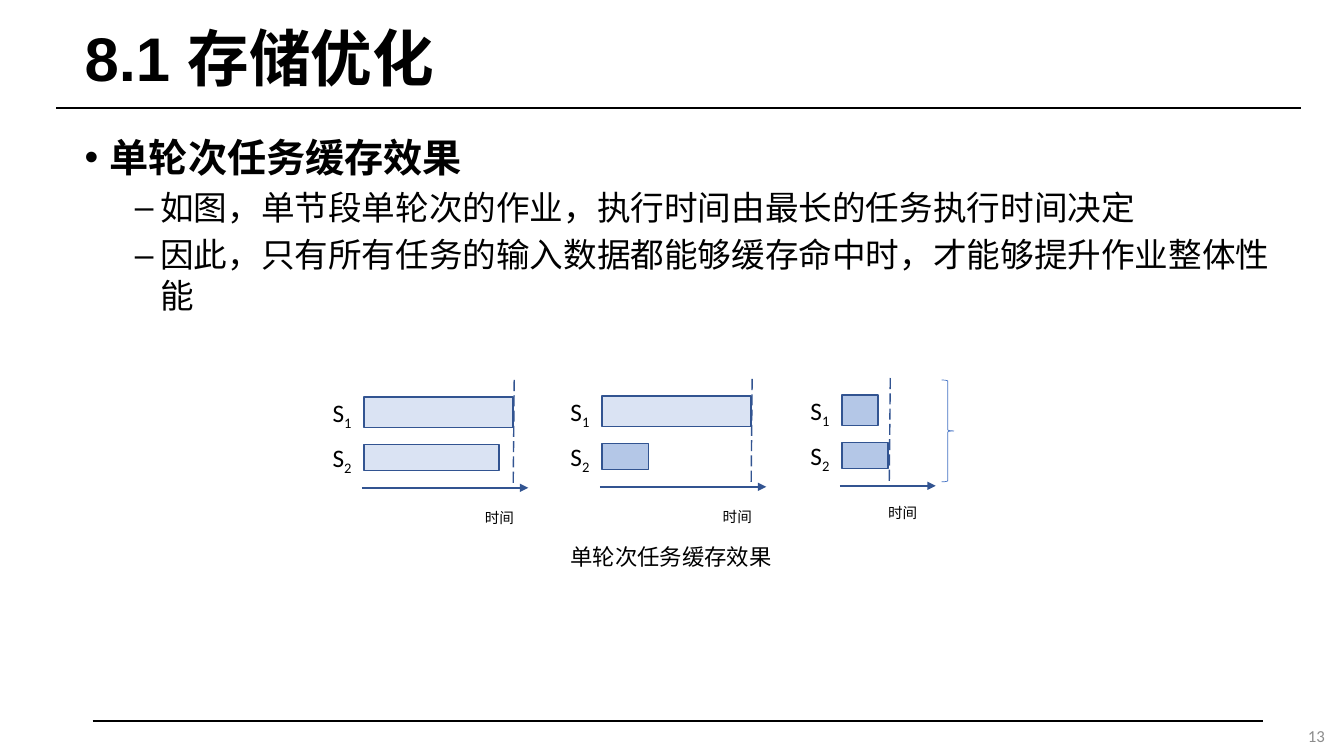
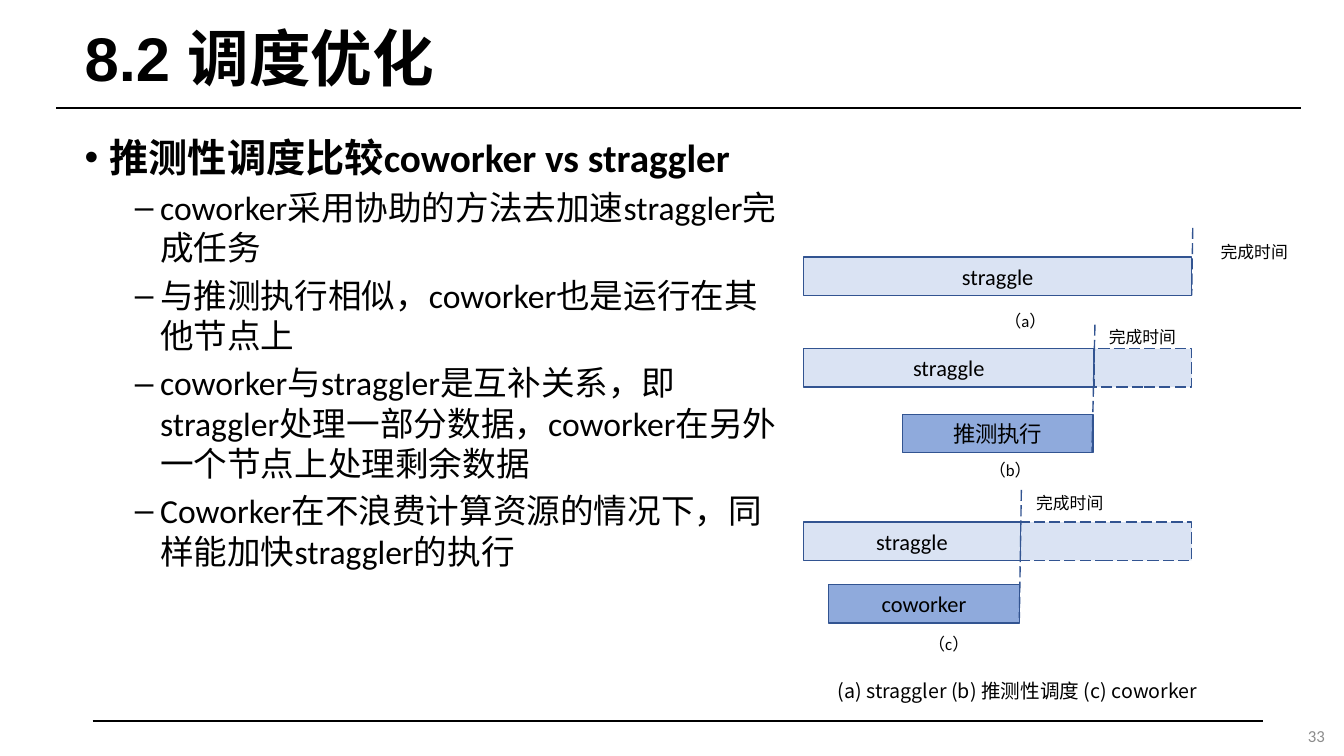
"""Build two slides on cache effects and speculative scheduling."""
from lxml.etree import SubElement
from pptx import Presentation
from pptx.dml.color import RGBColor
from pptx.enum.dml import MSO_LINE
from pptx.enum.shapes import MSO_CONNECTOR, MSO_SHAPE
from pptx.enum.text import MSO_ANCHOR, PP_ALIGN
from pptx.oxml.ns import qn
from pptx.util import Pt

PX = 9144
BLACK = RGBColor(0x00, 0x00, 0x00)
GREY = RGBColor(0x8C, 0x8C, 0x8C)
NAVY = RGBColor(0x32, 0x54, 0x91)
BRACE_BLUE = RGBColor(0x44, 0x72, 0xC4)
PALE = RGBColor(0xDA, 0xE3, 0xF3)
CACHED = RGBColor(0xB4, 0xC7, 0xE7)
HELPER = RGBColor(0x8F, 0xAA, 0xDC)
CJK = "Noto Sans CJK SC"


def add_box(slide, text, left, top, width, height, *, preset=None, fill=None, line=None,
            line_width=1, dashed=False, size=16, font="Calibri", bold=False, color=BLACK,
            align=PP_ALIGN.LEFT, anchor=MSO_ANCHOR.TOP, wrap=True, subscript=""):
    place = [n * PX for n in (left, top, width, height)]
    if preset is None:
        box = slide.shapes.add_textbox(*place)
    else:
        box = slide.shapes.add_shape(preset, *place)
        box.shadow.inherit = False
        if fill is None:
            box.fill.background()
        else:
            box.fill.solid()
            box.fill.fore_color.rgb = fill
        if line is None:
            box.line.fill.background()
        else:
            box.line.color.rgb = line
            box.line.width = Pt(line_width)
        if dashed:
            box.line.dash_style = MSO_LINE.LONG_DASH
    frame = box.text_frame
    frame.word_wrap = wrap
    frame.vertical_anchor = anchor
    for index, content in enumerate(text.split("\n")):
        paragraph = frame.add_paragraph() if index else frame.paragraphs[0]
        paragraph.alignment = align
        for part, baseline in ((content, None), (subscript, "-25000")):
            if not part:
                continue
            run = paragraph.add_run()
            run.text = part
            run.font.size = Pt(size)
            run.font.name = font
            run.font.bold = bold
            run.font.color.rgb = color
            properties = run.font._element
            SubElement(properties, qn("a:ea"), typeface=CJK)
            if baseline:
                properties.set("baseline", baseline)
    return box


def add_line(slide, x1, y1, x2, y2, *, color=NAVY, width=1, dashed=False, arrow=False):
    line = slide.shapes.add_connector(MSO_CONNECTOR.STRAIGHT, x1 * PX, y1 * PX, x2 * PX, y2 * PX)
    line.line.color.rgb = color
    line.line.width = Pt(width)
    if dashed:
        line.line.dash_style = MSO_LINE.LONG_DASH
    if arrow:
        SubElement(line.line._get_or_add_ln(), qn("a:tailEnd"), type="triangle")
    SubElement(line._element.spPr, qn("a:effectLst"))


deck = Presentation()
deck.slide_width = 1333 * PX
deck.slide_height = 750 * PX

pages = [
    ("8.1 存储优化", "13", 1195, [
        "单轮次任务缓存效果",
        "如图，单节段单轮次的作业，执行时间由最长的任务执行时间决定",
        "因此，只有所有任务的输入数据都能够缓存命中时，才能够提升作业整体性能",
    ]),
    ("8.2 调度优化", "33", 716, [
        "推测性调度比较coworker vs straggler",
        "coworker采用协助的方法去加速straggler完成任务",
        "与推测执行相似，coworker也是运行在其他节点上",
        "coworker与straggler是互补关系，即straggler处理一部分数据，coworker在另外一个节点上处理剩余数据",
        "Coworker在不浪费计算资源的情况下，同样能加快straggler的执行",
    ]),
]

for title, number, body_width, points in pages:
    slide = deck.slides.add_slide(deck.slide_layouts[6])
    add_line(slide, 56, 107, 1290, 107, color=BLACK, width=1.75)
    add_line(slide, 92, 715, 1253, 715, color=BLACK, width=1.25)
    heading = add_box(slide, title, 74, 15, 1195, 92, size=44, font="Arial", bold=True,
                      anchor=MSO_ANCHOR.MIDDLE)
    heading.text_frame.paragraphs[0].line_spacing = 0.9
    body = add_box(slide, "\n".join(points), 74, 127, body_width, 549, size=24)
    for index, paragraph in enumerate(body.text_frame.paragraphs):
        lead = index == 0
        paragraph.level = 0 if lead else 1
        paragraph.space_before = Pt(10 if lead else 5)
        if lead:
            paragraph.runs[0].font.size = Pt(28)
            paragraph.runs[0].font.bold = True
        layout = paragraph._p.get_or_add_pPr()
        layout.set("marL", str((25 if lead else 75) * PX))
        layout.set("indent", str(-25 * PX))
        SubElement(layout, qn("a:buFont"), typeface="Arial")
        SubElement(layout, qn("a:buChar"), char="•" if lead else "–")
    add_box(slide, number, 1024, 710, 300, 40, size=12, color=GREY, align=PP_ALIGN.RIGHT,
            anchor=MSO_ANCHOR.MIDDLE)

cache_slide, schedule_slide = deck.slides

cache_cases = [
    (361, 394, ((148, PALE), (134, PALE)), 510, 524, 471, 483),
    (597, 393, ((148, PALE), (46, CACHED)), 746, 760, 707, 482),
    (835, 392, ((36, CACHED), (46, CACHED)), 883, 928, 871, 478),
]
for left, top, tasks, deadline, axis_end, time_left, time_top in cache_cases:
    for row, (width, fill) in enumerate(tasks):
        add_box(cache_slide, "", left, top + 47 * row, width, 30 - 4 * row,
                preset=MSO_SHAPE.RECTANGLE, fill=fill, line=NAVY)
        add_box(cache_slide, "S", left - 41, top - 5 + 45 * row, 40, 40, size=18, wrap=False,
                subscript=str(row + 1))
    add_line(cache_slide, deadline, top - 17, deadline - 1, top + 89, dashed=True)
    add_line(cache_slide, left - 2, top + 90, axis_end, top + 90, arrow=True)
    add_box(cache_slide, "", time_left, time_top, 53, 30, size=18, wrap=False, subscript="时间")

add_box(cache_slide, "", 934, 377, 12, 101, preset=MSO_SHAPE.RIGHT_BRACE, line=BRACE_BLUE,
        line_width=0.5)
add_box(cache_slide, "单轮次任务缓存效果", 556, 534, 222, 37, font=CJK, wrap=False)

task_bars = [
    ("straggle", 797, 255, 385, PALE, False),
    ("straggle", 797, 346, 288, PALE, False),
    ("", 1085, 346, 97, PALE, True),
    ("推测执行", 895, 411, 189, HELPER, False),
    ("straggle", 797, 518, 215, PALE, False),
    ("", 1012, 518, 170, PALE, True),
    ("coworker", 822, 580, 189, HELPER, False),
]
for text, left, top, width, fill, dashed in task_bars:
    add_box(schedule_slide, text, left, top, width, 38, preset=MSO_SHAPE.RECTANGLE, fill=fill,
            line=NAVY, dashed=dashed, align=PP_ALIGN.CENTER, anchor=MSO_ANCHOR.MIDDLE)

bar_notes = [
    ("完成时间", 1183, 213), ("（a）", 956, 281),
    ("完成时间", 1072, 297), ("（b）", 941, 429),
    ("完成时间", 1000, 462), ("（c）", 880, 602),
]
for text, left, top in bar_notes:
    add_box(schedule_slide, text, left, top, 122, 74, preset=MSO_SHAPE.ROUNDED_RECTANGLE,
            size=12, align=PP_ALIGN.CENTER, anchor=MSO_ANCHOR.MIDDLE)

for finish in ((1183, 226, 1182, 293), (1086, 322, 1083, 448), (1013, 486, 1011, 613)):
    add_line(schedule_slide, *finish, dashed=True)
add_box(schedule_slide, "(a) straggler (b) 推测性调度 (c) coworker", 821, 669, 390, 34,
        size=14, font=CJK, wrap=False)

deck.save("out.pptx")
